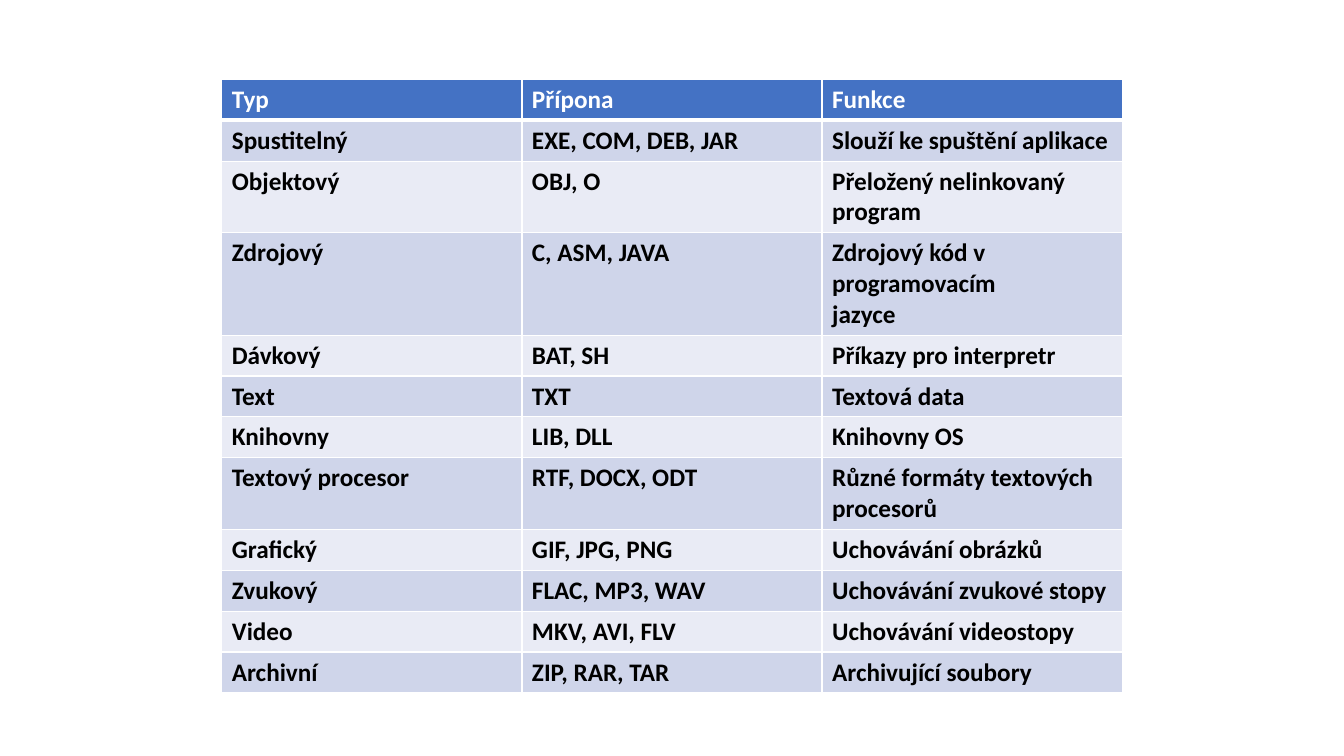
from lxml import etree
from pptx import Presentation
from pptx.dml.color import RGBColor
from pptx.oxml.ns import qn
from pptx.util import Inches, Pt

SLIDE_WIDTH, SLIDE_HEIGHT = Inches(13.33), Inches(7.5)
FONT, FONT_SIZE = "Calibri", 18
WHITE, BLACK = "FFFFFF", "000000"
HEADER_FILL = "4472C4"
BAND_FILLS = ("CFD5EA", "E9EBF5")
ROW_HEIGHT = Pt(29.2)

HEADINGS = ("Typ", "Přípona", "Funkce")
# A line feed starts a new paragraph; no-break spaces keep words together.
FILE_TYPES = (
    ("Spustitelný", "EXE, COM, DEB, JAR", "Slouží ke spuštění aplikace"),
    ("Objektový", "OBJ, O", "Přeložený nelinkovaný \nprogram"),
    ("Zdrojový", "C, ASM, JAVA", "Zdrojový kód v programovacím \njazyce"),
    ("Dávkový", "BAT, SH", "Příkazy pro interpretr"),
    ("Text", "TXT", "Textová data"),
    ("Knihovny", "LIB, DLL", "Knihovny OS"),
    ("Textový procesor", "RTF, DOCX, ODT", "Různé formáty textových \nprocesorů"),
    ("Grafický", "GIF, JPG, PNG", "Uchovávání obrázků"),
    ("Zvukový", "FLAC, MP3, WAV", "Uchovávání zvukové stopy"),
    ("Video", "MKV, AVI, FLV", "Uchovávání videostopy"),
    ("Archivní", "ZIP, RAR, TAR", "Archivující soubory"),
)


def color(hex_value):
    return RGBColor.from_string(hex_value)


def write_text(frame, text, font_color=BLACK, size=FONT_SIZE, bold=True):
    frame.text = text
    for paragraph in frame.paragraphs:
        for run in paragraph.runs:
            font = run.font
            font.name, font.size, font.bold = FONT, Pt(size), bold
            font.color.rgb = color(font_color)


def set_borders(cell, bottom=1, top=1):
    """Draw white cell borders; the widths are in points."""
    properties = cell._tc.get_or_add_tcPr()
    widths = {"L": 1, "R": 1, "T": top, "B": bottom}
    for position, (side, width) in enumerate(widths.items()):
        line = etree.Element(qn(f"a:ln{side}"), w=str(Pt(width)))
        fill = etree.SubElement(line, qn("a:solidFill"))
        etree.SubElement(fill, qn("a:srgbClr"), val=WHITE)
        properties.insert(position, line)


class SlideBuilder:
    """Places elements by percentages of the slide's size."""

    def __init__(self, presentation):
        self.slide = presentation.slides.add_slide(presentation.slide_layouts[6])

    def table(self, left, top, width, height, headings, records):
        rows = (headings, *records)
        table_frame = self.slide.shapes.add_table(
            len(rows), len(headings),
            int(SLIDE_WIDTH * left / 100), int(SLIDE_HEIGHT * top / 100),
            int(SLIDE_WIDTH * width / 100), ROW_HEIGHT * len(rows))
        for row_index, texts in enumerate(rows):
            for column_index, text in enumerate(texts):
                cell = table_frame.table.cell(row_index, column_index)
                self.cell(cell, text, row_index)
        table_frame.height = int(SLIDE_HEIGHT * height / 100)

    def cell(self, cell, text, row_index):
        is_header = row_index == 0
        cell.fill.solid()
        cell.fill.fore_color.rgb = color(
            HEADER_FILL if is_header else BAND_FILLS[(row_index - 1) % 2])
        set_borders(cell, bottom=3 if is_header else 1,
                    top=3 if row_index == 1 else 1)
        write_text(cell.text_frame, text, font_color=WHITE if is_header else BLACK)


def main():
    presentation = Presentation()
    presentation.slide_width, presentation.slide_height = SLIDE_WIDTH, SLIDE_HEIGHT
    builder = SlideBuilder(presentation)
    builder.table(16.5, 10.5, 67, 80.67, HEADINGS, FILE_TYPES)
    presentation.save("out.pptx")


if __name__ == "__main__":
    main()
